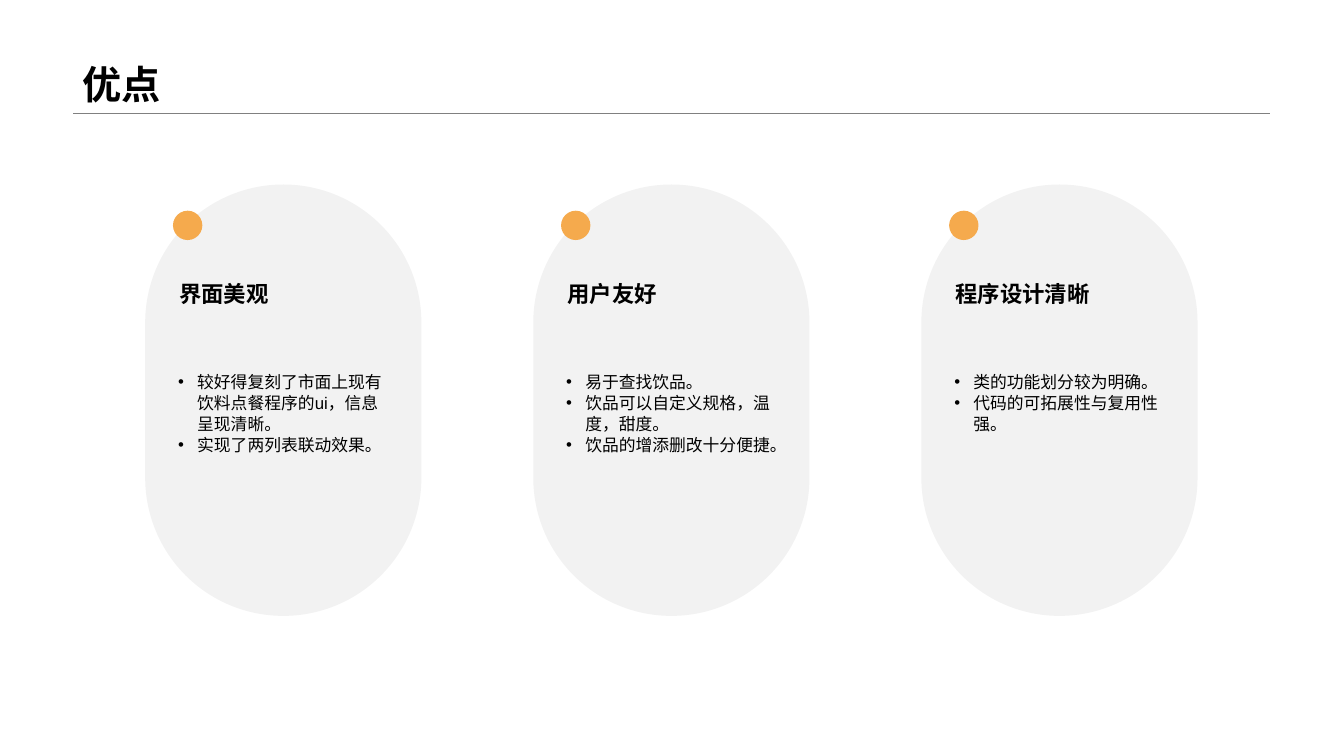
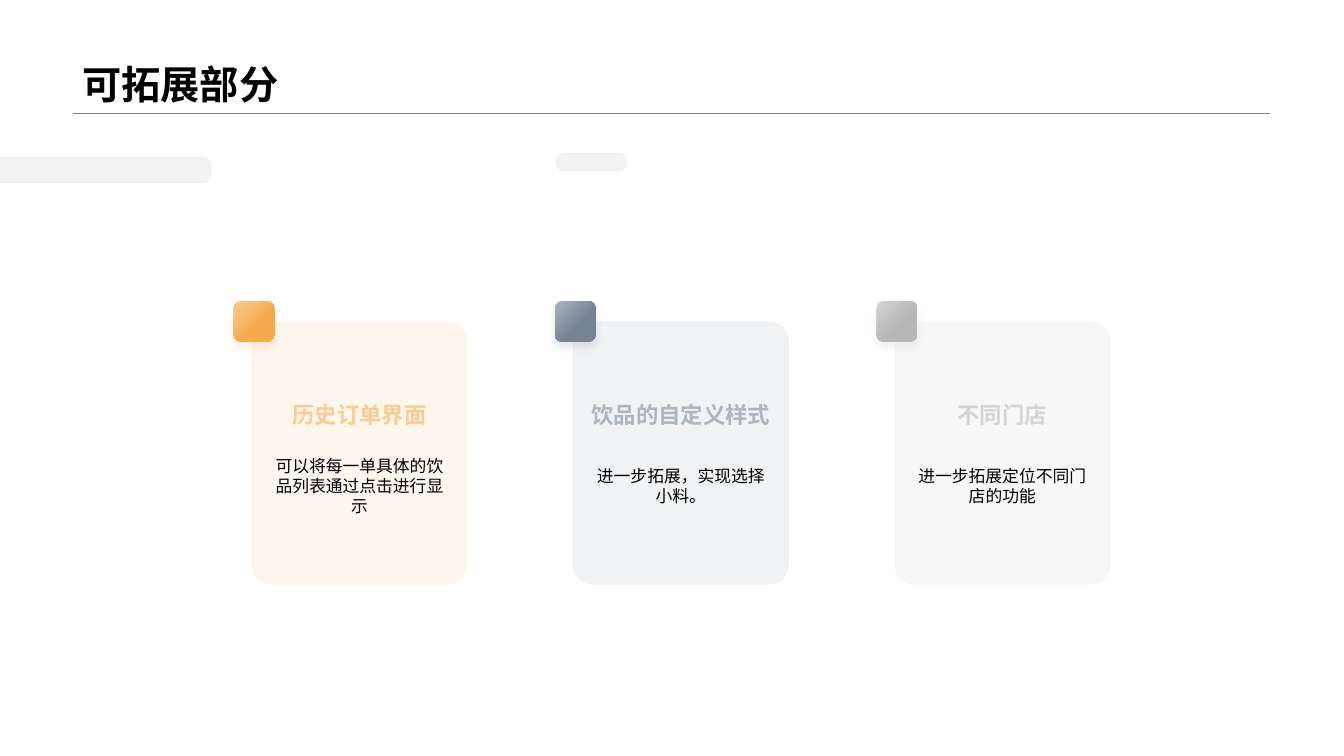
from dataclasses import dataclass
from lxml.etree import SubElement
from pptx import Presentation
from pptx.dml.color import RGBColor
from pptx.enum.lang import MSO_LANGUAGE_ID as Language
from pptx.enum.shapes import MSO_CONNECTOR as Connector, MSO_SHAPE as Preset
from pptx.enum.text import MSO_ANCHOR as Anchor, PP_ALIGN as Align
from pptx.oxml.ns import qn
from pptx.util import Cm, Pt


@dataclass(frozen=True)
class Theme:
    font: str = "Arial"
    ink: str = "000000"
    grey: str = "808080"
    accent: str = "F5AA4D"
    tones: tuple = (("F9CC94", "F5AA4D"), ("ADB5BF", "768394"), ("D4D4D4", "B7B7B7"))
    title_size: int = 28
    heading_size: int = 16
    body_size: int = 12
    bullet_leading: int = 15
    tint: int = 10
    shadow_tint: int = 20


@dataclass(frozen=True)
class Box:
    left: float
    top: float
    width: float
    height: float

    def inner(self, left, top, width, height):
        return Box(self.left + left, self.top + top, width, height)

    def lengths(self):
        return Cm(self.left), Cm(self.top), Cm(self.width), Cm(self.height)


THEME = Theme()
TITLE_BOX = Box(1.83, 0, 30.18, 2.84)

ADVANTAGES = (
    ("界面美观", ("较好得复刻了市面上现有饮料点餐程序的ui，信息呈现清晰。", "实现了两列表联动效果。")),
    ("用户友好", ("易于查找饮品。", "饮品可以自定义规格，温度，甜度。", "饮品的增添删改十分便捷。")),
    ("程序设计清晰", ("类的功能划分较为明确。", "代码的可拓展性与复用性强。")),
)
EXTENSIONS = (
    ("历史订单界面", "可以将每一单具体的饮品列表通过点击进行显示"),
    ("饮品的自定义样式", "进一步拓展，实现选择小料。"),
    ("不同门店", "进一步拓展定位不同门店的功能"),
)


def set_alpha(color_element, percent):
    SubElement(color_element, qn("a:alpha"), val=str(percent * 1000))


def set_gradient(fill, tone):
    fill.gradient()
    fill.gradient_angle = 315
    for stop, color, position in zip(fill.gradient_stops, tone, (0, 0.6)):
        stop.color.rgb = RGBColor.from_string(color)
        stop.position = position


def add_shape(page, preset, box, color=None, alpha=None, corners=()):
    shape = page.shapes.add_shape(preset, *box.lengths())
    shape.shadow.inherit = False
    shape.line.fill.background()
    for index, value in enumerate(corners):
        shape.adjustments[index] = value
    if color:
        shape.fill.solid()
        shape.fill.fore_color.rgb = RGBColor.from_string(color)
    if alpha:
        set_alpha(shape.element.spPr.find(qn("a:solidFill"))[0], alpha)
    return shape


def add_glow(shape, color):
    effects = shape.element.spPr.find(qn("a:effectLst"))
    shadow = SubElement(effects, qn("a:outerShdw"), blurRad=str(Pt(6)), dist=str(Pt(4)),
                        dir="5400000", algn="t", rotWithShape="0")
    set_alpha(SubElement(shadow, qn("a:srgbClr"), val=color), THEME.shadow_tint)


def add_text(page, box, lines, size, bold=False, tone=None, align=Align.LEFT,
             anchor=Anchor.TOP, spacing=None):
    frame = page.shapes.add_textbox(*box.lengths()).text_frame
    frame.word_wrap = True
    frame.vertical_anchor = anchor
    frame.text = "\n".join(lines)
    for para in frame.paragraphs:
        para.alignment = align
        if spacing:
            para.line_spacing = spacing
        for span in para.runs:
            font = span.font
            font.name, font.size, font.bold = THEME.font, Pt(size), bold
            font.language_id = Language.SIMPLIFIED_CHINESE
            if tone:
                set_gradient(font.fill, tone)
            else:
                font.color.rgb = RGBColor.from_string(THEME.ink)
            SubElement(font._element, qn("a:ea"), typeface=THEME.font)
    return frame


def add_bullets(frame):
    for para in frame.paragraphs:
        properties = para._p.get_or_add_pPr()
        properties.set("marL", str(Cm(0.48)))
        properties.set("indent", str(-Cm(0.48)))
        SubElement(properties, qn("a:buFont"), typeface=THEME.font)
        SubElement(properties, qn("a:buChar"), char="•")


def add_title(page, box, title):
    bottom = Cm(box.top + box.height)
    rule = page.shapes.add_connector(Connector.STRAIGHT, Cm(box.left + 0.02), bottom,
                                     Cm(box.left + box.width), bottom)
    rule.line.color.rgb = RGBColor.from_string(THEME.grey)
    rule.line.width = Pt(0.25)
    SubElement(rule._element.spPr, qn("a:effectLst"))
    add_text(page, box, [title], THEME.title_size, bold=True, anchor=Anchor.BOTTOM, spacing=0.9)


def add_advantage(page, box, heading, points):
    add_shape(page, Preset.ROUNDED_RECTANGLE, box, THEME.grey, THEME.tint, [0.5])
    add_text(page, box.inner(0.61, 2.29, 5.87, 0.94), [heading], THEME.heading_size, bold=True)
    add_bullets(add_text(page, box.inner(0.58, 4.57, 5.87, 2.36), points, THEME.body_size,
                         spacing=Pt(THEME.bullet_leading)))
    add_shape(page, Preset.OVAL, box.inner(0.7, 0.66, 0.74, 0.74), THEME.accent)


def add_extension(page, box, tone, heading, body):
    main_color = tone[1]
    add_shape(page, Preset.ROUNDED_RECTANGLE, box, main_color, THEME.tint, [0.09])
    badge = add_shape(page, Preset.ROUNDED_RECTANGLE, box.inner(-0.45, -0.51, 1.02, 1.02))
    set_gradient(badge.fill, tone)
    add_glow(badge, main_color)
    centred = dict(align=Align.CENTER, anchor=Anchor.MIDDLE)
    add_text(page, box.inner(0, 1.88, box.width, 0.94), [heading], THEME.heading_size,
             bold=True, tone=tone, **centred)
    add_text(page, box.inner(0.33, 3.12, box.width - 0.66, 2.03), [body], THEME.body_size, **centred)


def add_side_bar(page, box):
    upright = box.inner((box.width - box.height) / 2, (box.height - box.width) / 2,
                        box.height, box.width)
    bar = add_shape(page, Preset.ROUND_2_SAME_RECTANGLE, upright, THEME.grey, THEME.tint, [0.3, 0])
    bar.rotation = 90


def add_page(deck, title):
    page = deck.slides.add_slide(deck.slide_layouts[6])
    add_title(page, TITLE_BOX, title)
    return page


def build_advantages(deck):
    page = add_page(deck, "优点")
    first = Box(3.66, 4.65, 6.96, 10.87)
    for index, (heading, points) in enumerate(ADVANTAGES):
        box = first.inner(index * 9.78, 0, first.width, first.height)
        add_advantage(page, box, heading, points)


def build_extensions(deck):
    page = add_page(deck, "可拓展部分")
    first = Box(6.34, 8.1, 5.44, 6.63)
    for index, (tone, (heading, body)) in enumerate(zip(THEME.tones, EXTENSIONS)):
        box = first.inner(index * 8.1, 0, first.width, first.height)
        add_extension(page, box, tone, heading, body)
    add_side_bar(page, Box(0, 3.95, 5.32, 0.66))
    add_shape(page, Preset.ROUNDED_RECTANGLE, Box(14, 3.86, 1.83, 0.46),
              THEME.grey, THEME.tint, [0.5])


def main():
    deck = Presentation()
    deck.slide_width, deck.slide_height = Cm(33.87), Cm(19.05)
    build_advantages(deck)
    build_extensions(deck)
    deck.save("out.pptx")


if __name__ == "__main__":
    main()
